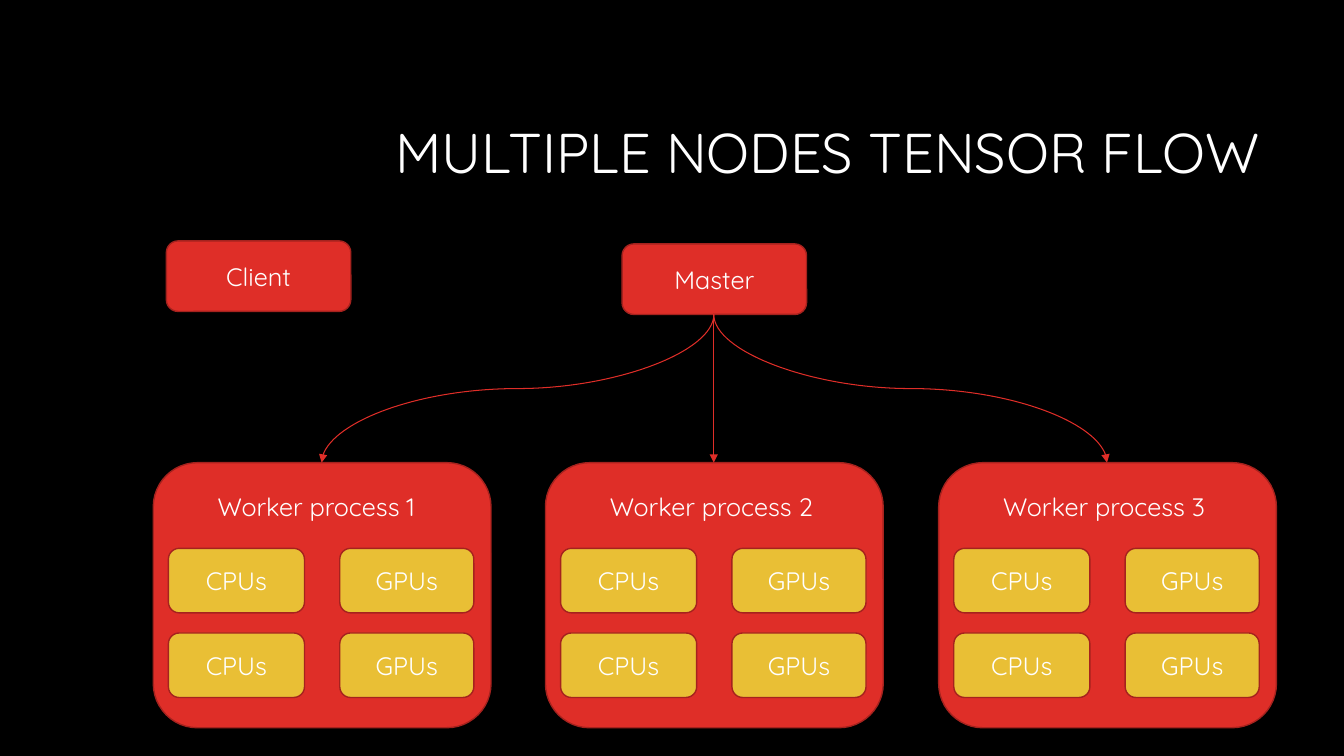
import pptx
import pptx.util
import pptx.dml.color
import pptx.enum.shapes
import pptx.enum.text
import pptx.oxml.ns
import lxml.etree

RGBColor = pptx.dml.color.RGBColor
ALIGN = pptx.enum.text.PP_ALIGN
MID = pptx.enum.text.MSO_ANCHOR.MIDDLE
TOP = pptx.enum.text.MSO_ANCHOR.TOP

BLACK = RGBColor(0x00, 0x00, 0x00)
WHITE = RGBColor(0xFF, 0xFF, 0xFF)
RED = RGBColor(0xDF, 0x2E, 0x28)
DARK = RGBColor(0xA5, 0x22, 0x1E)
GOLD = RGBColor(0xE9, 0xBF, 0x35)

PX = 9144  # EMU in one px, 100 px to the inch


def emu(*sizes):
    return [round(size * PX) for size in sizes]


def write(frame, text, font="Quicksand", size=18, color=WHITE,
          align=ALIGN.CENTER, anchor=MID, wrap=True, space=None):
    frame.word_wrap = wrap
    frame.vertical_anchor = anchor
    para = frame.paragraphs[0]
    para.alignment = align
    para.line_spacing = space
    run = para.add_run()
    run.text = text
    run.font.name = font
    run.font.size = pptx.util.Pt(size)
    run.font.color.rgb = color


class Deck:
    def __init__(self, wide, high):
        self.show = pptx.Presentation()
        self.show.slide_width, self.show.slide_height = emu(wide, high)
        self.slide = self.show.slides.add_slide(self.show.slide_layouts[6])
        self.slide.background.fill.solid()
        self.slide.background.fill.fore_color.rgb = BLACK

    def label(self, left, top, wide, high, text, **style):
        box = self.slide.shapes.add_textbox(*emu(left, top, wide, high))
        write(box.text_frame, text, **style)
        return box

    def box(self, left, top, wide, high, fill, text=None):
        kind = pptx.enum.shapes.MSO_SHAPE.ROUNDED_RECTANGLE
        box = self.slide.shapes.add_shape(kind, *emu(left, top, wide, high))
        box.shadow.inherit = False
        box.fill.solid()
        box.fill.fore_color.rgb = fill
        box.line.color.rgb = DARK
        box.line.width = pptx.util.Pt(1)
        if text:
            write(box.text_frame, text)

    def arrow(self, x1, y1, x2, y2):
        # The curve leaves downwards, so its frame lies on its side
        midx, midy = (x1 + x2) / 2, (y1 + y2) / 2
        halfw, halfh = (y2 - y1) / 2, abs(x2 - x1) / 2
        turn = 90
        if x2 >= x1:
            halfw, turn = -halfw, 270
        kind = pptx.enum.shapes.MSO_CONNECTOR.CURVE
        line = self.slide.shapes.add_connector(
            kind, *emu(midx - halfw, midy - halfh, midx + halfw, midy + halfh))
        line.rotation = turn
        line.line.color.rgb = RED
        line.line.width = pptx.util.Pt(0.75)
        qn = pptx.oxml.ns.qn
        stroke = line.line._get_or_add_ln()
        lxml.etree.SubElement(stroke, qn("a:tailEnd"), type="triangle")
        lxml.etree.SubElement(line._element.spPr, qn("a:effectLst"))

    def worker(self, left, top, name):
        self.box(left, top, 335, 263, RED)
        for row in range(2):
            for shift, wide, unit in ((15, 135, "CPUs"), (185, 133, "GPUs")):
                self.box(left + shift, top + 85 + 84 * row, wide, 64, GOLD, unit)
        tag = self.label(left + 54, top + 24, 227, 40, name,
                         align=ALIGN.LEFT, anchor=TOP, wrap=False)
        tag.text_frame.auto_size = pptx.enum.text.MSO_AUTO_SIZE.SHAPE_TO_FIT_TEXT


def main():
    deck = Deck(1333, 750)

    # Title
    deck.label(317, 84, 942, 141, "MULTIPLE NODES TENSOR FLOW",
               size=40, align=ALIGN.RIGHT, space=0.9)

    # Client and master
    deck.box(165, 239, 183, 70, RED, "Client")
    deck.box(617, 242, 183, 70, RED, "Master")

    # Workers, evenly spaced
    lefts = [152 + 779 * i // 2 for i in range(3)]
    for num, left in enumerate(lefts, 1):
        deck.worker(left, 459, f"Worker process {num}")

    # Arrows from the master to each worker
    for left in lefts:
        deck.arrow(617 + 183 // 2, 312, left + 335 // 2, 459)

    deck.show.save("out.pptx")


if __name__ == "__main__":
    main()
